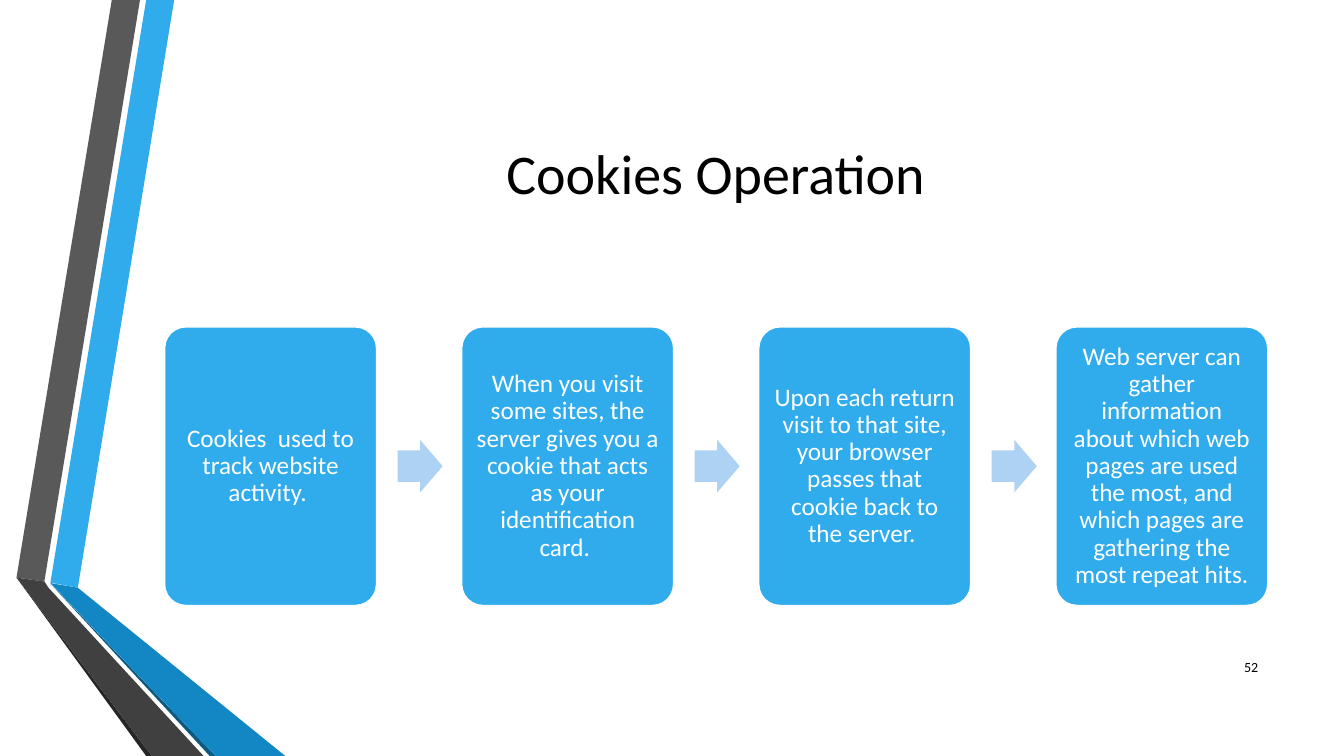
"""Build the Cookies Operation process slide."""
from pptx import Presentation
from pptx.dml.color import RGBColor
from pptx.enum.shapes import MSO_SHAPE as Preset
from pptx.enum.text import MSO_ANCHOR as Anchor, PP_ALIGN as Align
from pptx.util import Pt

TITLE = "Cookies Operation"
PAGE = "52"
STEPS = [
    "Cookies  used to track website activity. ",
    "When you visit some sites, the server gives you a cookie that acts as your identification card. ",
    "Upon each return visit to that site, your browser passes that cookie back to the server. ",
    "Web server can gather information about which web pages are used the most, "
    "and which pages are gathering the most repeat hits.",
]
COLORS = {
    "blue": "30ACEC", "blue_fold": "1287C3", "blue_edge": "0C5A82",
    "gray": "595959", "gray_fold": "404040", "gray_edge": "262626",
    "arrow": "AED2F4", "white": "FFFFFF", "black": "000000",
}
RIBBONS = [
    ("blue", [(36, 416.2), (55.6, 419.8), (124.4, 0), (104.4, 0)]),
    ("gray", [(100, 0), (79.9, 0), (11.8, 412.6), (31.7, 415.4)]),
    ("gray_edge", [(11.8, 412.6), (104.4, 540), (108.5, 540)]),
    ("blue_edge", [(36, 416.9), (149.8, 540), (154, 540)]),
    ("blue_fold", [(36, 416.5), (154, 540), (203.8, 540), (55.6, 419.8)]),
    ("gray_fold", [(145.4, 540), (34.6, 419.8), (31.7, 415.4), (11.8, 412.6), (108.5, 540)]),
]
FONT = "Calibri"
CARD_LEFT, CARD_TOP, CARD_W, CARD_H = 117.5, 233.4, 151.6, 199.2
PITCH = 212.2
ARROW_GAP, ARROW_W, ARROW_H = 14.9, 32.2, 37.6


def rgb(name):
    return RGBColor.from_string(COLORS[name])


def paint(shape, color):
    shape.shadow.inherit = False
    shape.fill.solid()
    shape.fill.fore_color.rgb = rgb(color)
    shape.line.fill.background()


def write(shape, text, size, color, align):
    frame = shape.text_frame
    frame.word_wrap = True
    frame.vertical_anchor = Anchor.MIDDLE
    paragraph = frame.paragraphs[0]
    paragraph.text = text
    paragraph.alignment = align
    font = paragraph.font
    font.name, font.size, font.color.rgb = FONT, Pt(size), rgb(color)
    return frame, paragraph


def add_ribbon(shapes, color, corners):
    start, *rest = [(Pt(x), Pt(y)) for x, y in corners]
    builder = shapes.build_freeform(*start)
    builder.add_line_segments(rest, close=True)
    paint(builder.convert_to_shape(), color)


def add_card(shapes, left, step):
    card = shapes.add_shape(
        Preset.ROUNDED_RECTANGLE, Pt(left), Pt(CARD_TOP), Pt(CARD_W), Pt(CARD_H))
    card.adjustments[0] = 0.1
    paint(card, "blue")
    card.line.color.rgb = rgb("white")
    card.line.width = Pt(1.25)
    frame, paragraph = write(card, step, 18, "white", Align.CENTER)
    frame.margin_left = frame.margin_right = Pt(5)
    frame.margin_top = frame.margin_bottom = Pt(5)
    paragraph.line_spacing = 0.9


def add_arrow(shapes, left):
    top = CARD_TOP + (CARD_H - ARROW_H) / 2
    arrow = shapes.add_shape(
        Preset.RIGHT_ARROW, Pt(left), Pt(top), Pt(ARROW_W), Pt(ARROW_H))
    arrow.adjustments[0] = 0.6
    arrow.adjustments[1] = 0.5
    paint(arrow, "arrow")


def main():
    deck = Presentation()
    deck.slide_width, deck.slide_height = Pt(960), Pt(540)
    shapes = deck.slides.add_slide(deck.slide_layouts[6]).shapes

    for color, corners in RIBBONS:
        add_ribbon(shapes, color, corners)

    title = shapes.add_textbox(Pt(116.6), Pt(54), Pt(789.1), Pt(138.2))
    write(title, TITLE, 40, "black", Align.CENTER)

    for index, step in enumerate(STEPS):
        left = CARD_LEFT + index * PITCH
        add_card(shapes, left, step)
        if index < len(STEPS) - 1:
            add_arrow(shapes, left + CARD_W + ARROW_GAP)

    page = shapes.add_textbox(Pt(862.6), Pt(462.2), Pt(43.2), Pt(28.8))
    write(page, PAGE, 10, "black", Align.RIGHT)

    deck.save("out.pptx")


if __name__ == "__main__":
    main()
